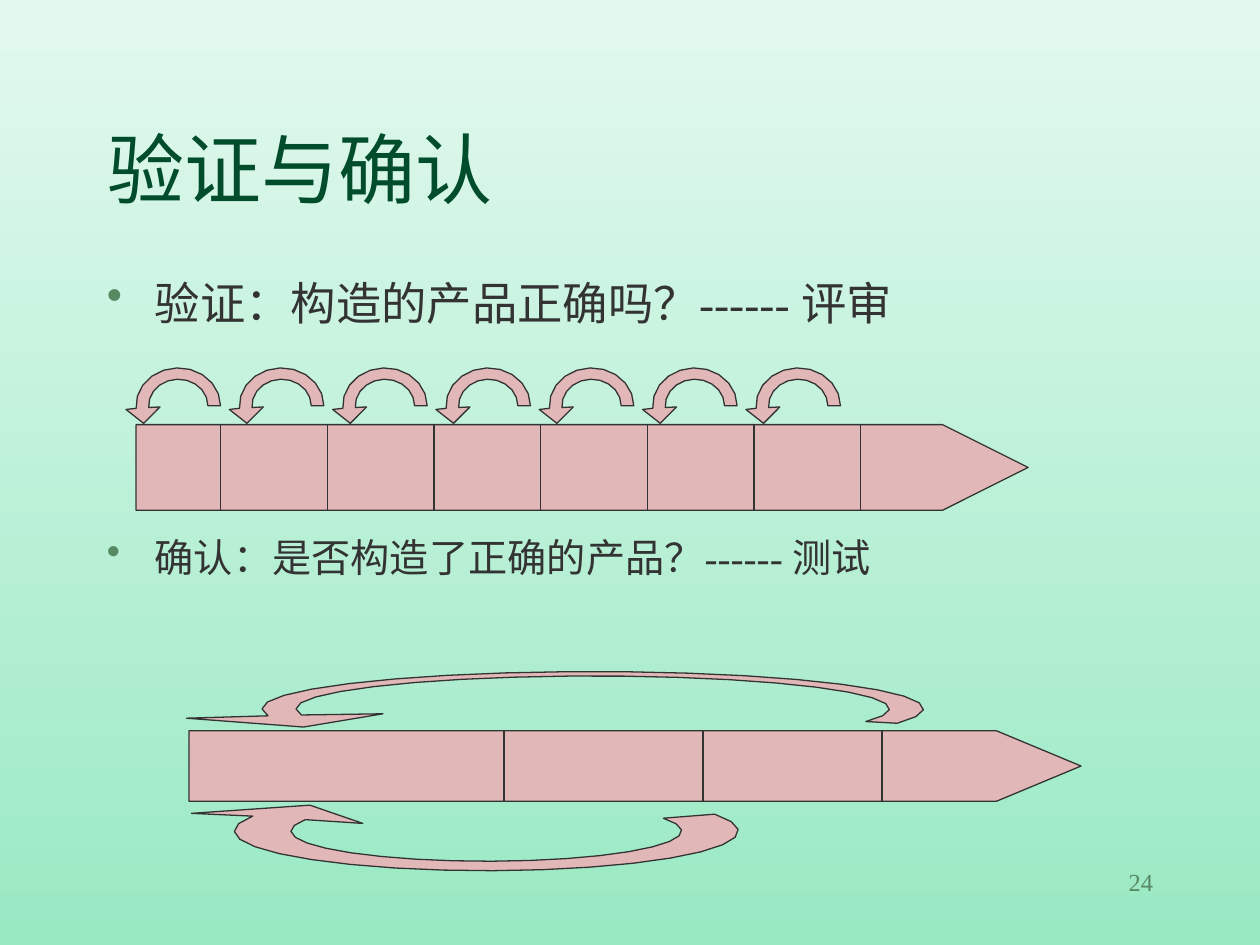
from math import cos, sin, radians
from lxml import etree
from pptx import Presentation
from pptx.dml.color import RGBColor
from pptx.enum import shapes, text
from pptx.oxml.ns import qn
from pptx.util import Inches, Pt

INK, PINK, MOSS = "333333", "E1B7B7", "578963"


def rgb(code):
    return RGBColor.from_string(code)


def paint(shape):
    shape.shadow.inherit = False
    shape.fill.solid()
    shape.fill.fore_color.rgb = rgb(PINK)
    shape.line.color.rgb = rgb(INK)
    shape.line.width = Pt(0.75)


deck = Presentation()
deck.slide_width, deck.slide_height = Inches(10), Inches(7.5)
slide = deck.slides.add_slide(deck.slide_layouts[5])

# Background
back = slide.background.fill
back.gradient()
back.gradient_angle = 270
for stop, code in zip(back.gradient_stops, ("E3F9EF", "99E9C3")):
    stop.color.rgb = rgb(code)

# Title, two points and page number
title = slide.shapes.title
texts = [
    # words, box, size, colour, bullet, line spacing
    ("验证与确认", (0.75, 0.5, 8.5, 1.25), 44, "004C2B", False, 1),
    ("验证：构造的产品正确吗？------ 评审", (0.75, 2.25, 8.5, 0.42), 25.9, INK, True, 0.7),
    ("确认：是否构造了正确的产品？------ 测试", (0.75, 4.18, 7.4, 0.52), 22.4, INK, True, 1),
    ("24", (7.17, 6.83, 2.08, 0.5), 14, MOSS, False, 1),
]
for words, spot, size, code, dot, gap in texts:
    first = size == 44
    area = [Inches(v) for v in spot]
    box = title if first else slide.shapes.add_textbox(*area)
    box.left, box.top, box.width, box.height = area
    frame = box.text_frame
    frame.text = words
    frame.word_wrap = True
    frame.auto_size = text.MSO_AUTO_SIZE.NONE
    frame.vertical_anchor = text.MSO_ANCHOR.BOTTOM if first else text.MSO_ANCHOR.TOP
    para = frame.paragraphs[0]
    para.alignment = text.PP_ALIGN.RIGHT if words == "24" else text.PP_ALIGN.LEFT
    para.line_spacing = gap
    if dot:
        props = para._p.get_or_add_pPr()
        props.set("marL", str(Inches(0.38)))
        props.set("indent", str(-Inches(0.38)))
        tint = etree.SubElement(props, qn("a:buClr"))
        etree.SubElement(tint, qn("a:srgbClr"), val=MOSS)
        etree.SubElement(props, qn("a:buChar"), char="•")
    font = para.runs[0].font
    font.name, font.size = "Times New Roman", Pt(size)
    font.color.rgb = rgb(code)

# Process bars with their phase lines
bars = [
    (1.08, 3.37, 0.68, 1, [1.75 + 0.847 * i for i in range(7)]),
    (1.5, 5.8, 0.56, 1.2, [4, 5.58, 7]),
]
for left, top, tall, tip, cuts in bars:
    bar = slide.shapes.add_shape(shapes.MSO_SHAPE.PENTAGON, Inches(left), Inches(top),
                                 Inches(7.08), Inches(tall))
    bar.adjustments[0] = tip
    paint(bar)
    for x in cuts:
        line = slide.shapes.add_connector(shapes.MSO_CONNECTOR.STRAIGHT, Inches(x), Inches(top),
                                          Inches(x), Inches(top + tall))
        line.line.color.rgb = rgb(INK)
        line.line.width = Pt(0.75)
        etree.SubElement(line._element.spPr, qn("a:effectLst"))

# Feedback arrows: centre, outer and inner radii, start and end angle, steps, head
loops = [
    (1.415 + 0.82 * i, 3.22, (0.335, 0.3), (0.235, 0.21), 0, -184, 10,
     [(-0.415, 0.03), (-0.275, 0.14), (-0.145, 0.01)])
    for i in range(7)
]
loops += [
    (4.705, 5.625, (2.625, 0.295), (2.355, 0.26), 23, -191, 20,
     [(-3.225, 0.075), (-2.295, 0.145), (-1.665, 0.04)]),
    (3.86, 6.595, (2, 0.315), (1.55, 0.24), -25, 202, 20,
     [(-2.34, -0.14), (-1.4, -0.205), (-0.98, -0.06)]),
]
for x, y, outer, inner, start, end, steps, head in loops:
    turns = [radians(start + (end - start) * i / steps) for i in range(steps + 1)]
    rim = [(outer[0] * cos(a), outer[1] * sin(a)) for a in turns]
    core = [(inner[0] * cos(a), inner[1] * sin(a)) for a in reversed(turns)]
    dots = [(Inches(x + dx), Inches(y + dy)) for dx, dy in core + rim + head]
    curve = slide.shapes.build_freeform(*dots[0])
    curve.add_line_segments(dots[1:], close=True)
    paint(curve.convert_to_shape())

deck.save("out.pptx")
